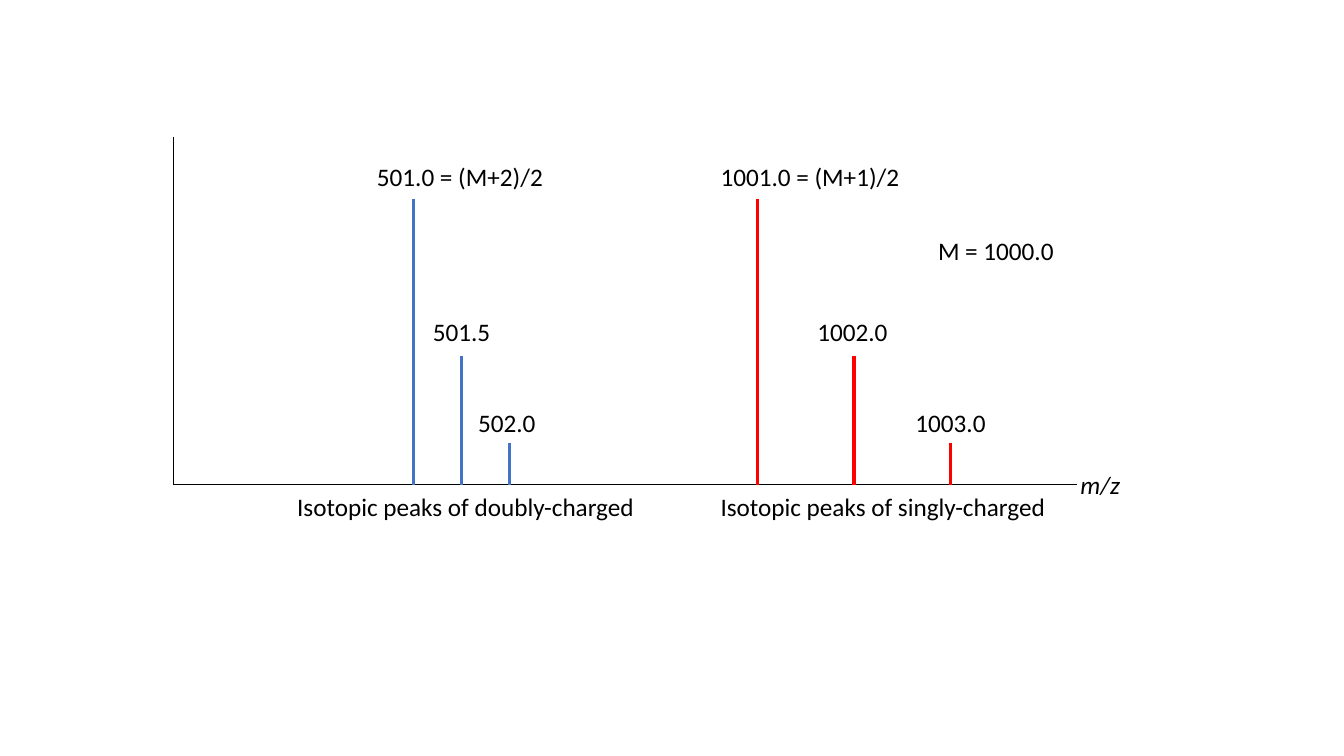
"""Build a slide showing the isotopic peaks of doubly and singly charged ions."""
import pptx
import pptx.dml.color
import pptx.enum.shapes
import pptx.enum.text
import pptx.oxml
import pptx.util

Cm = pptx.util.Cm
BLACK, BLUE, RED = "000000", "4472C4", "FF0000"
LABEL_HEIGHT = 1.02
PEAK_HEIGHTS = (7.19, 3.25, 1.04)
LABEL_RISES = (1.09, 1.12, 1.02)


def color(value):
    return pptx.dml.color.RGBColor.from_string(value)


def add_text(shapes, text, left, top, width, size=18, font="Calibri", fill=BLACK, italic=False):
    label = shapes.add_textbox(Cm(left), Cm(top), Cm(width), Cm(LABEL_HEIGHT))
    frame = label.text_frame
    frame.word_wrap = False
    frame.auto_size = pptx.enum.text.MSO_AUTO_SIZE.SHAPE_TO_FIT_TEXT
    run = frame.paragraphs[0].add_run()
    run.text = text
    run.font.size = pptx.util.Pt(size)
    run.font.name = font
    run.font.italic = italic
    run.font.color.rgb = color(fill)


def add_line(shapes, start, end, stroke, weight):
    line = shapes.add_connector(
        pptx.enum.shapes.MSO_CONNECTOR.STRAIGHT, *(Cm(value) for value in start + end))
    line.line.color.rgb = color(stroke)
    line.line.width = pptx.util.Pt(weight)
    properties = line.element.find(pptx.oxml.ns.qn("p:spPr"))
    properties.append(pptx.oxml.parse_xml(
        '<a:effectLst xmlns:a="http://schemas.openxmlformats.org/drawingml/2006/main"/>'))


def draw_axes(shapes, left, top, width, height):
    origin = (left, top + height)
    add_line(shapes, (left, top), origin, BLACK, 0.5)
    add_line(shapes, (left + width, top + height), origin, BLACK, 0.5)
    add_text(shapes, "m/z", left + width - 0.15, top + height - 0.51, 1.52, italic=True)


def draw_ion(shapes, left, baseline, spacing, stroke, labels):
    peaks = zip(labels, PEAK_HEIGHTS, LABEL_RISES)
    for index, ((text, shift, width), height, rise) in enumerate(peaks):
        peak_x = left + index * spacing
        peak_top = baseline - height
        add_line(shapes, (peak_x, peak_top), (peak_x, baseline), stroke, 2.25)
        add_text(shapes, text, peak_x - shift, peak_top - rise, width)


def draw_spectrum(slide, left, top, width, height):
    shapes = slide.shapes.add_group_shape().shapes
    baseline = top + height
    draw_axes(shapes, left, top, width, height)
    draw_ion(shapes, left + 6.05, baseline, 1.21, BLUE, [
        ("501.0 = (M+2)/2", 1.17, 4.75), ("501.5", 0.97, 1.98), ("502.0", 1.04, 1.98)])
    draw_ion(shapes, left + 14.71, baseline, 2.44, RED, [
        ("1001.0 = (M+1)/2", 1.17, 5.08), ("1002.0", 1.17, 2.29), ("1003.0", 1.14, 2.29)])
    add_text(shapes, "M = 1000.0", left + 19.02, top + 2.36, 3.45)
    add_text(shapes, "Isotopic peaks of doubly-charged", left + 2.87, baseline + 0.05, 9.12)
    add_text(shapes, "Isotopic peaks of singly-charged", left + 13.54, baseline + 0.05, 8.79)


presentation = pptx.Presentation()
presentation.slide_width = Cm(33.87)
presentation.slide_height = Cm(19.05)
spectrum_slide = presentation.slides.add_slide(presentation.slide_layouts[6])
draw_spectrum(spectrum_slide, 4.37, 3.45, 22.76, 8.76)
presentation.save("out.pptx")
